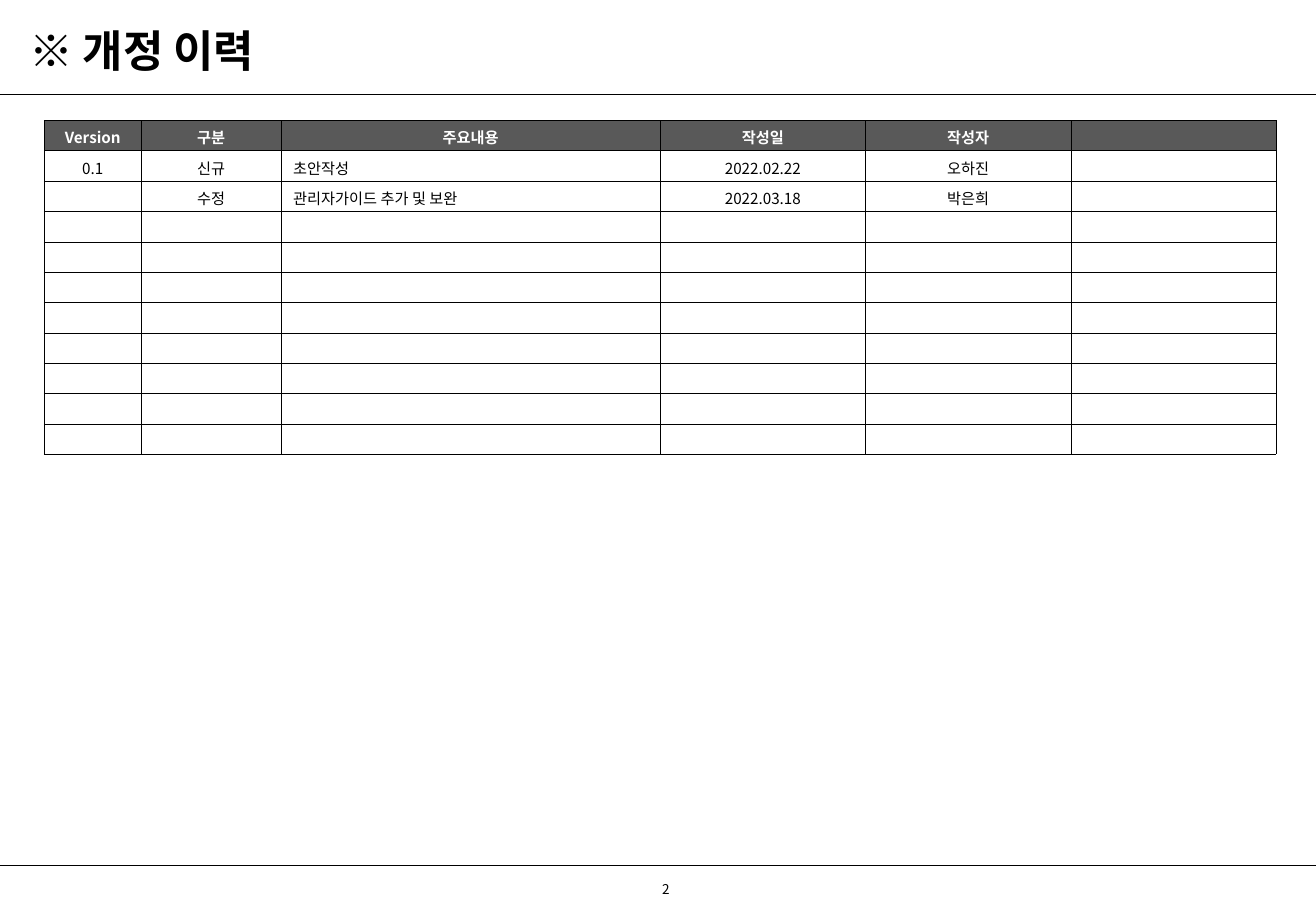
from dataclasses import dataclass

from lxml import etree
from pptx import Presentation
from pptx import util as u
from pptx.dml.color import RGBColor
from pptx.enum import shapes, text
from pptx.oxml import ns


@dataclass(frozen=True)
class Theme:
    font: str = "Noto Sans CJK KR"
    ink: str = "000000"
    paper: str = "FFFFFF"
    header: str = "595959"
    title_size: int = 26
    table_size: int = 9
    page_size: int = 8
    line_width: float = 0.25


THEME = Theme()
WIDTH, HEIGHT = u.Inches(10.83), u.Inches(7.5)
COLUMNS = (0.8, 1.15, 3.12, 1.69, 1.69, 1.69)
ROW_HEIGHT = 0.25
ROW_COUNT = 11
CONTENT_COLUMN = 2
HISTORY = (
    ("Version", "구분", "주요내용", "작성일", "작성자"),
    ("0.1", "신규", "초안작성", "2022.02.22", "오하진"),
    ("", "수정", "관리자가이드 추가 및 보완", "2022.03.18", "박은희"),
)


def apply(target, values):
    for name, value in values.items():
        setattr(target, name, value)


def write(paragraph, words, size, color=THEME.ink, bold=False, align=text.PP_ALIGN.LEFT):
    paragraph.alignment = align
    if not words:
        etree.SubElement(paragraph._p, ns.qn("a:endParaRPr"), sz=str(size * 100))
        return
    run = paragraph.add_run()
    run.text = words
    apply(run.font, {"name": THEME.font, "size": u.Pt(size), "bold": bold})
    run.font.color.rgb = RGBColor.from_string(color)
    etree.SubElement(run.font._element, ns.qn("a:ea"), typeface=THEME.font)


def add_text(slide, box, words, size, wrap=True, **style):
    left, top, width, height = box
    shape = slide.shapes.add_textbox(
        int(WIDTH * left), int(HEIGHT * top), int(WIDTH * width), int(HEIGHT * height))
    apply(shape.text_frame, {"word_wrap": wrap, "vertical_anchor": text.MSO_ANCHOR.MIDDLE})
    write(shape.text_frame.paragraphs[0], words, size, **style)


def add_rule(slide, share):
    height = int(HEIGHT * share)
    rule = slide.shapes.add_connector(shapes.MSO_CONNECTOR.STRAIGHT, 0, height, WIDTH, height)
    rule.line.width = u.Pt(THEME.line_width)
    rule.line.color.rgb = RGBColor.from_string(THEME.ink)
    etree.SubElement(rule._element.spPr, ns.qn("a:effectLst"))


def add_borders(cell):
    properties = cell._tc.get_or_add_tcPr()
    for index, side in enumerate(("lnL", "lnR", "lnT", "lnB")):
        border = etree.Element(ns.qn(f"a:{side}"), w=str(u.Pt(THEME.line_width)))
        fill = etree.SubElement(border, ns.qn("a:solidFill"))
        etree.SubElement(fill, ns.qn("a:srgbClr"), val=THEME.ink)
        properties.insert(index, border)


def fill_cell(cell, words, is_header, align):
    apply(cell, {"margin_top": u.Inches(0.05), "margin_bottom": 0,
                 "vertical_anchor": text.MSO_ANCHOR.TOP})
    cell.fill.solid()
    cell.fill.fore_color.rgb = RGBColor.from_string(THEME.header if is_header else THEME.paper)
    write(cell.text_frame.paragraphs[0], words, THEME.table_size,
          THEME.paper if is_header else THEME.ink, is_header, align)
    add_borders(cell)


def add_history(slide, left, top):
    frame = slide.shapes.add_table(
        ROW_COUNT, len(COLUMNS), int(WIDTH * left), int(HEIGHT * top),
        u.Inches(sum(COLUMNS)), u.Inches(ROW_HEIGHT * ROW_COUNT))
    table = frame.table
    for column, width in zip(table.columns, COLUMNS):
        column.width = u.Inches(width)
    for row_index, row in enumerate(table.rows):
        row.height = u.Inches(ROW_HEIGHT)
        entries = HISTORY[row_index] if row_index < len(HISTORY) else ()
        for column_index, cell in enumerate(row.cells):
            words = entries[column_index] if column_index < len(entries) else ""
            is_header = row_index == 0
            is_left = column_index == CONTENT_COLUMN and not is_header
            align = text.PP_ALIGN.LEFT if is_left else text.PP_ALIGN.CENTER
            fill_cell(cell, words, is_header, align)


def main():
    presentation = Presentation()
    apply(presentation, {"slide_width": WIDTH, "slide_height": HEIGHT})
    slide = presentation.slides.add_slide(presentation.slide_layouts[6])
    for share in (0.103, 0.95):
        add_rule(slide, share)
    add_text(slide, (0.469, 0.95, 0.049, 0.053), "2", THEME.page_size,
             align=text.PP_ALIGN.RIGHT)
    add_text(slide, (0.013, 0.019, 0.204, 0.072), "※ 개정 이력", THEME.title_size,
             wrap=False, bold=True)
    add_history(slide, 0.0335, 0.132)
    presentation.save("out.pptx")


if __name__ == "__main__":
    main()
